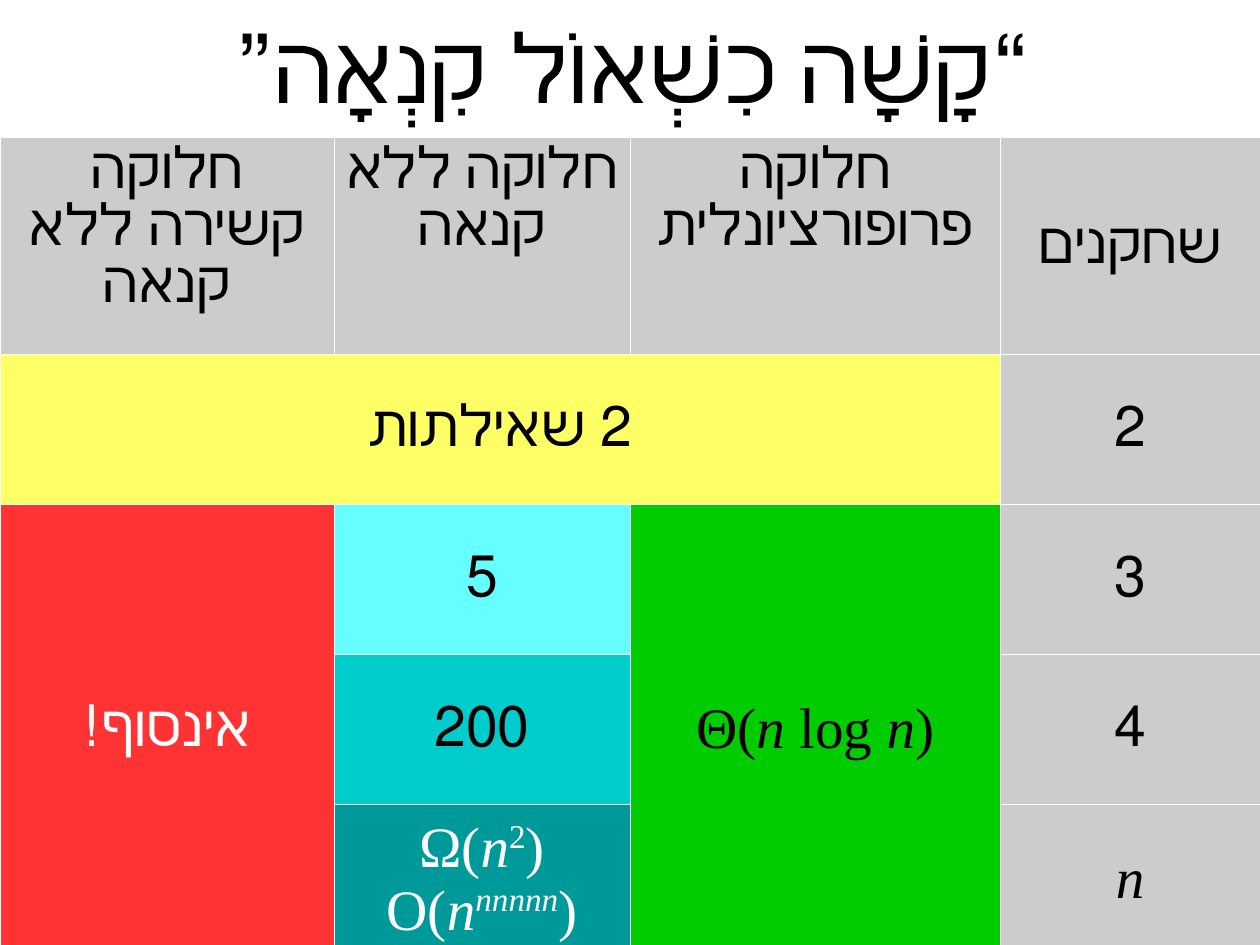
from dataclasses import dataclass

from lxml import etree
from pptx import Presentation
from pptx import util as u
from pptx.dml.color import RGBColor
from pptx.enum import text
from pptx.oxml import ns

COLORS = {
    "black": "000000", "white": "FFFFFF", "gray": "CCCCCC",
    "yellow": "FFFF66", "red": "FF3333", "green": "00CC00",
    "light_cyan": "66FFFF", "cyan": "00CCCC", "teal": "009999",
}
HEBREW_FONT, MATH_FONT = "Arial", "Times New Roman"
COLUMN_WIDTHS = [7.42, 6.58, 8.23, 5.77]
ROW_HEIGHTS = [4.72, 3.33, 3.33, 3.33, 3.35]
PLAYERS_COLUMN = len(COLUMN_WIDTHS) - 1


@dataclass(frozen=True)
class Span:
    words: str
    italic: bool = False
    raised: bool = False


@dataclass(frozen=True)
class Entry:
    row: int
    column: int
    lines: list[list[Span]]
    fill: str = "gray"
    ink: str = "black"
    font: str = HEBREW_FONT
    rtl: bool = True
    rows: int = 1
    columns: int = 1
    anchor: text.MSO_ANCHOR = text.MSO_ANCHOR.MIDDLE


def rgb(name: str) -> RGBColor:
    return RGBColor.from_string(COLORS[name])


def plain(words: str) -> list[list[Span]]:
    return [[Span(words)]]


def write_lines(frame, lines: list[list[Span]], size: float, font: str,
                ink: str, rtl: bool) -> None:
    for index, line in enumerate(lines):
        para = frame.add_paragraph() if index else frame.paragraphs[0]
        para.alignment = text.PP_ALIGN.CENTER
        if rtl:
            para._p.get_or_add_pPr().set("rtl", "1")
        for span in line:
            run = para.add_run()
            run.text = span.words
            run.font.name = font
            run.font.size = u.Pt(size)
            run.font.italic = span.italic
            run.font.color.rgb = rgb(ink)
            if span.raised:
                run._r.get_or_add_rPr().set("baseline", "33000")


def add_borders(cell) -> None:
    properties = cell._tc.get_or_add_tcPr()
    for index, side in enumerate(("lnL", "lnR", "lnT", "lnB")):
        line = etree.Element(ns.qn(f"a:{side}"), w=str(u.Pt(0.06)))
        fill = etree.SubElement(line, ns.qn("a:solidFill"))
        etree.SubElement(fill, ns.qn("a:srgbClr"), val=COLORS["white"])
        properties.insert(index, line)


def add_entry(table, entry: Entry) -> None:
    cell = table.cell(entry.row, entry.column)
    last_row = entry.row + entry.rows - 1
    last_column = entry.column + entry.columns - 1
    if entry.rows > 1 or entry.columns > 1:
        cell.merge(table.cell(last_row, last_column))
    for row in range(entry.row, last_row + 1):
        for column in range(entry.column, last_column + 1):
            part = table.cell(row, column)
            part.fill.solid()
            part.fill.fore_color.rgb = rgb(entry.fill)
            add_borders(part)
    cell.vertical_anchor = entry.anchor
    write_lines(cell.text_frame, entry.lines, 36, entry.font, entry.ink, entry.rtl)


def add_title(page, words: str) -> None:
    box = page.shapes.add_textbox(u.Cm(0.5), u.Cm(0.13), u.Cm(27.7), u.Cm(2.67))
    frame = box.text_frame
    frame.word_wrap = True
    frame.vertical_anchor = text.MSO_ANCHOR.MIDDLE
    frame.margin_left = frame.margin_right = 0
    frame.margin_top = frame.margin_bottom = 0
    write_lines(frame, plain(words), 60, HEBREW_FONT, "black", True)
    frame.paragraphs[0]._p.get_or_add_pPr().set("marL", str(u.Cm(0.6)))


def table_entries() -> list[Entry]:
    n = Span("n", italic=True)
    headers = ["חלוקה קשירה ללא קנאה", "חלוקה ללא קנאה", "חלוקה פרופורציונלית"]
    entries = [Entry(0, column, plain(words), anchor=text.MSO_ANCHOR.TOP)
               for column, words in enumerate(headers)]
    # Number of players
    entries += [Entry(row, PLAYERS_COLUMN, plain(words))
                for row, words in enumerate(["שחקנים", "2", "3", "4"])]
    entries.append(Entry(4, PLAYERS_COLUMN, [[n]], font=MATH_FONT))
    # Query counts
    entries += [
        Entry(1, 0, plain("2 שאילתות"), "yellow", columns=3),
        Entry(2, 0, plain("אינסוף!"), "red", "white", rows=3),
        Entry(2, 1, plain("5"), "light_cyan"),
        Entry(3, 1, plain("200"), "cyan"),
        Entry(4, 1, [[Span("Ω("), n, Span("2", raised=True), Span(")")],
                     [Span("O("), n, Span("nnnnn", True, True), Span(")")]],
              "teal", "white", MATH_FONT, rtl=False),
        Entry(2, 2, [[Span("Θ("), n, Span(" log "), n, Span(")")]],
              "green", font=MATH_FONT, rtl=False, rows=3),
    ]
    return entries


def add_query_table(page) -> None:
    table = page.shapes.add_table(
        len(ROW_HEIGHTS), len(COLUMN_WIDTHS), u.Cm(0), u.Cm(3.05),
        u.Cm(sum(COLUMN_WIDTHS)), u.Cm(sum(ROW_HEIGHTS))).table
    table.first_row = False
    table.horz_banding = False
    for column, width in zip(table.columns, COLUMN_WIDTHS):
        column.width = u.Cm(width)
    for row, height in zip(table.rows, ROW_HEIGHTS):
        row.height = u.Cm(height)
    for entry in table_entries():
        add_entry(table, entry)


def main() -> None:
    deck = Presentation()
    deck.slide_width, deck.slide_height = u.Cm(28), u.Cm(21)
    page = deck.slides.add_slide(deck.slide_layouts[6])
    page.background.fill.solid()
    page.background.fill.fore_color.rgb = rgb("white")
    add_title(page, "“קָשָׁה כִשְׁאוֹל קִנְאָה”")
    add_query_table(page)
    deck.save("out.pptx")


if __name__ == "__main__":
    main()
